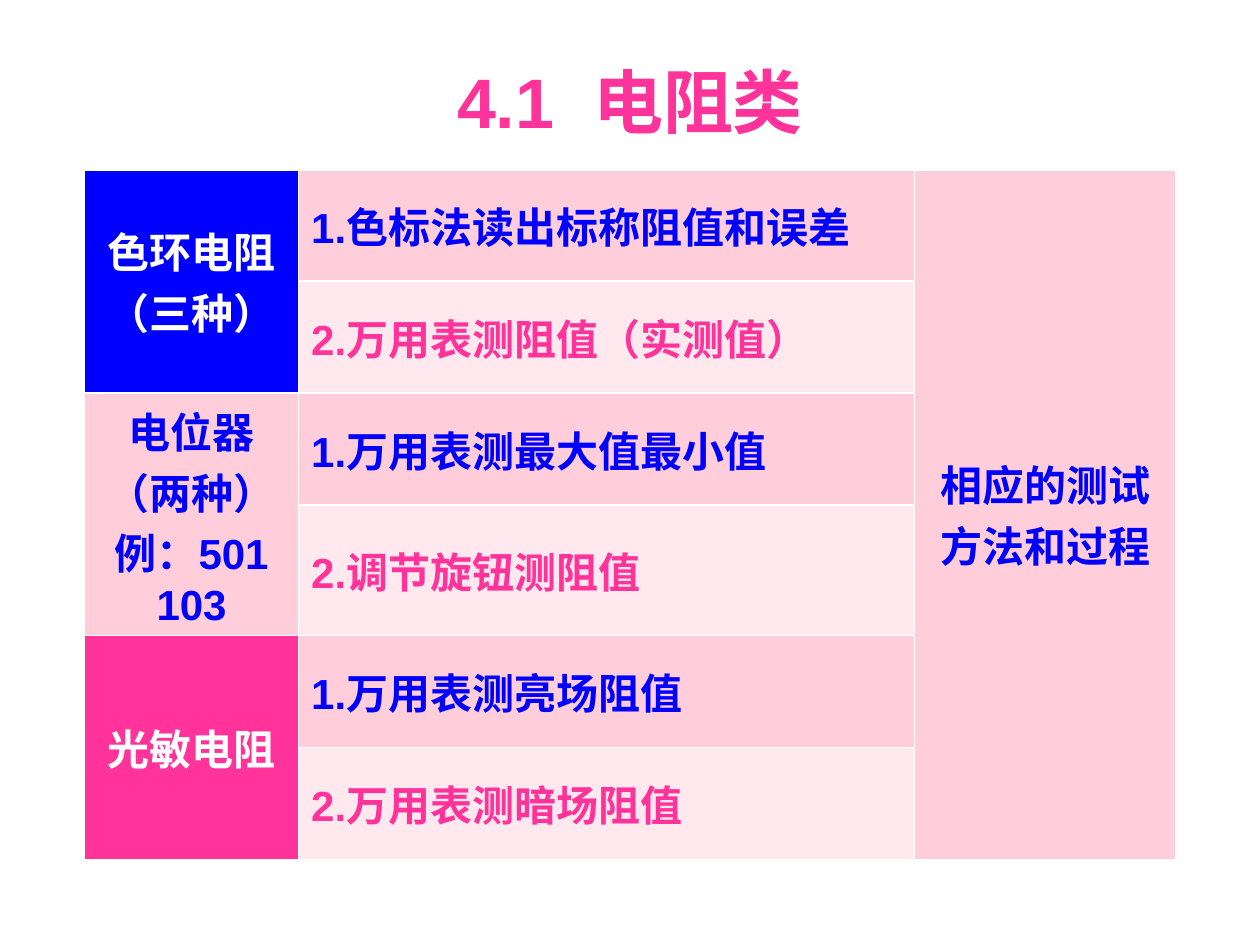
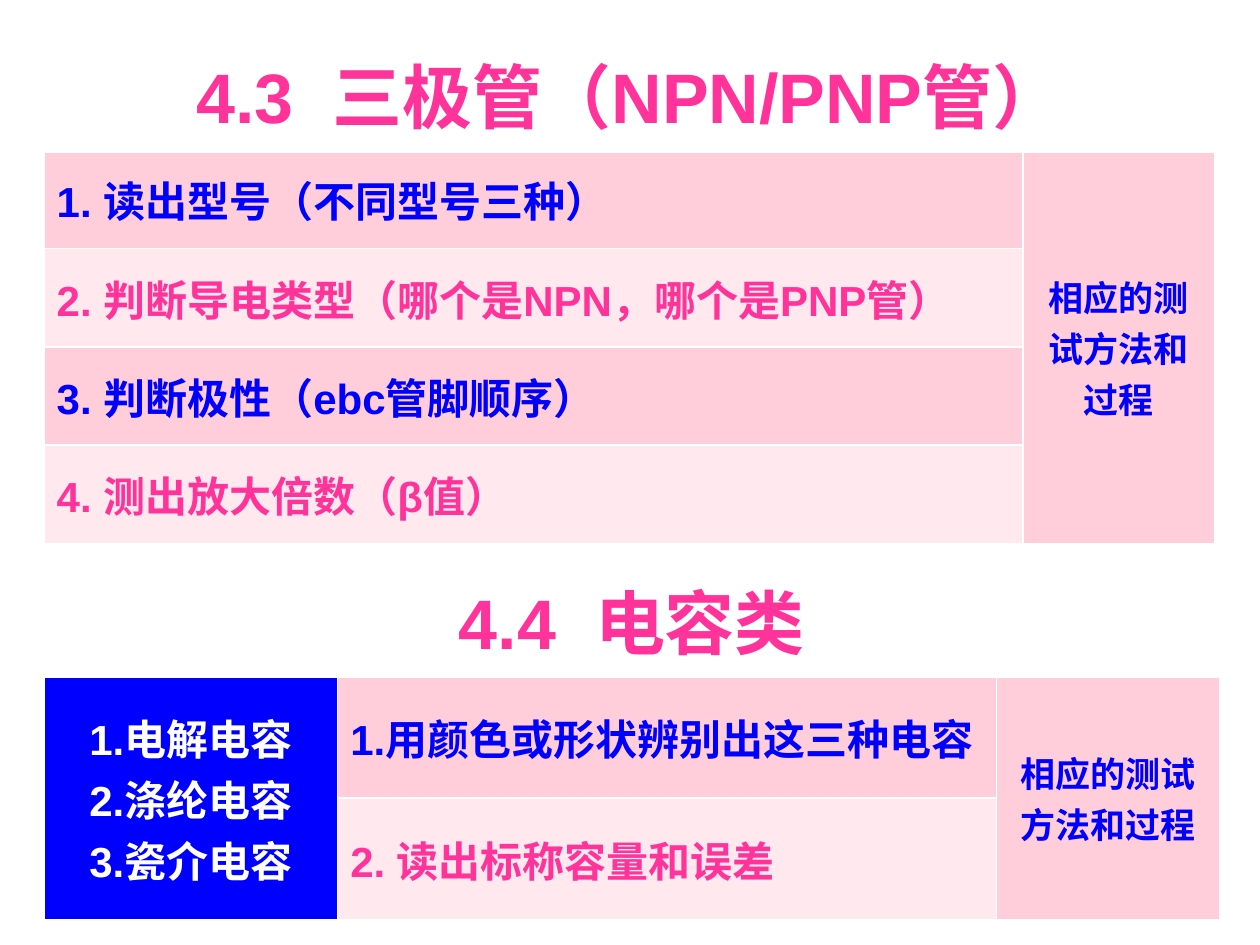
"""Build two slides of component test tables with shared title, item and group styles."""
from dataclasses import dataclass

from lxml import etree
from pptx import Presentation
from pptx.dml.color import RGBColor
from pptx.enum.text import MSO_ANCHOR, PP_ALIGN
from pptx.oxml.ns import qn
from pptx.slide import Slide
from pptx.table import Table, _Cell
from pptx.util import Inches, Pt

CENTER = PP_ALIGN.CENTER
LEFT = PP_ALIGN.LEFT
MIDDLE = MSO_ANCHOR.MIDDLE
BLANK_LAYOUT = 6
SUMMARY = "相应的测试方法和过程"


@dataclass(frozen=True)
class Theme:
    """Colours, font and sizes of the deck."""
    white: str = "FFFFFF"
    blue: str = "0000FF"
    pink: str = "FF3399"
    band_dark: str = "FFCEDA"
    band_light: str = "FFE8EE"
    font: str = "Arial"
    title_size: int = 40
    body_size: int = 24
    small_size: int = 20
    border: float = 1
    title_border: float = 3


THEME = Theme()


@dataclass(frozen=True)
class Look:
    """Colours, size and alignment of a cell."""
    color: str
    fill: str | None = None
    size: int = THEME.body_size
    align: PP_ALIGN = CENTER


TITLE = Look(THEME.pink, size=THEME.title_size)
ITEMS = (
    Look(THEME.blue, THEME.band_dark, align=LEFT),
    Look(THEME.pink, THEME.band_light, align=LEFT),
)
BLUE_GROUP = Look(THEME.white, THEME.blue)
PALE_GROUP = Look(THEME.blue, THEME.band_dark)
PINK_GROUP = Look(THEME.white, THEME.pink)
SMALL_SUMMARY = Look(THEME.blue, THEME.band_dark, THEME.small_size)


@dataclass(frozen=True)
class Group:
    """A label cell that spans two item rows."""
    lines: tuple[str, ...]
    look: Look


@dataclass(frozen=True)
class TestTable:
    """A titled list of test steps with optional groups and a summary column."""
    title: str
    left: float
    top: float
    columns: tuple[float, ...]
    title_height: float
    item_height: float
    items: tuple[str, ...]
    summary_look: Look
    groups: tuple[Group, ...] = ()


RESISTORS = TestTable(
    "4.1  电阻类", 0.67, 0.21, (1.7, 4.89, 2.07), 1.13, 0.89,
    (
        "1.色标法读出标称阻值和误差",
        "2.万用表测阻值（实测值）",
        "1.万用表测最大值最小值",
        "2.调节旋钮测阻值",
        "1.万用表测亮场阻值",
        "2.万用表测暗场阻值",
    ),
    PALE_GROUP,
    (
        Group(("色环电阻", "（三种）"), BLUE_GROUP),
        Group(("电位器（两种）", "例：501 103"), PALE_GROUP),
        Group(("光敏电阻",), PINK_GROUP),
    ),
)
TRANSISTORS = TestTable(
    "4.3  三极管（NPN/PNP管）", 0.35, 0.29, (7.77, 1.52), 0.73, 0.78,
    (
        "1. 读出型号（不同型号三种）",
        "2. 判断导电类型（哪个是NPN，哪个是PNP管）",
        "3. 判断极性（ebc管脚顺序）",
        "4. 测出放大倍数（β值）",
    ),
    SMALL_SUMMARY,
)
CAPACITORS = TestTable(
    "4.4  电容类", 0.35, 4.46, (2.33, 5.23, 1.77), 0.71, 0.97,
    ("1.用颜色或形状辨别出这三种电容", "2. 读出标称容量和误差"),
    SMALL_SUMMARY,
    (Group(("1.电解电容", "2.涤纶电容", "3.瓷介电容"), BLUE_GROUP),),
)
SLIDES = ((RESISTORS,), (TRANSISTORS, CAPACITORS))


def set_borders(cell: _Cell, row: int) -> None:
    """Draw white cell borders, thicker below the title row."""
    properties = cell._tc.get_or_add_tcPr()
    widths = {"lnL": THEME.border, "lnR": THEME.border,
              "lnT": THEME.title_border if row == 1 else THEME.border,
              "lnB": THEME.title_border if row == 0 else THEME.border}
    for tag, width in widths.items():
        line = etree.SubElement(properties, qn(f"a:{tag}"), w=str(Pt(width)))
        solid = etree.SubElement(line, qn("a:solidFill"))
        etree.SubElement(solid, qn("a:srgbClr"), val=THEME.white)


def fill_cell(cell: _Cell, lines: tuple[str, ...], look: Look) -> None:
    """Write lines into a cell with the given look."""
    cell.vertical_anchor = MIDDLE
    if look.fill:
        cell.fill.solid()
        cell.fill.fore_color.rgb = RGBColor.from_string(look.fill)
    frame = cell.text_frame
    for index, text in enumerate(lines):
        paragraph = frame.add_paragraph() if index else frame.paragraphs[0]
        paragraph.alignment = look.align
        run = paragraph.add_run()
        run.text = text
        run.font.name = THEME.font
        run.font.size = Pt(look.size)
        run.font.bold = True
        run.font.color.rgb = RGBColor.from_string(look.color)


def merge_cells(table: Table, first: tuple[int, int], last: tuple[int, int]) -> _Cell:
    """Merge a block of cells and return its first cell."""
    cell = table.cell(*first)
    cell.merge(table.cell(*last))
    return cell


def add_test_table(slide: Slide, content: TestTable) -> None:
    """Add one titled test table to the slide."""
    heights = [content.title_height] + [content.item_height] * len(content.items)
    shape = slide.shapes.add_table(
        len(heights), len(content.columns), Inches(content.left), Inches(content.top),
        Inches(sum(content.columns)), Inches(sum(heights)))
    table = shape.table
    table.first_row = False
    table.horz_banding = False
    for column, width in zip(table.columns, content.columns):
        column.width = Inches(width)
    for row_index, height in enumerate(heights):
        row = table.rows[row_index]
        row.height = Inches(height)
        for cell in row.cells:
            set_borders(cell, row_index)
            cell.fill.background()

    last_row, last_column = len(content.items), len(content.columns) - 1
    fill_cell(merge_cells(table, (0, 0), (0, last_column)), (content.title,), TITLE)
    for index, group in enumerate(content.groups):
        first_row = 1 + 2 * index
        fill_cell(merge_cells(table, (first_row, 0), (first_row + 1, 0)),
                  group.lines, group.look)
    for index, item in enumerate(content.items):
        fill_cell(table.cell(index + 1, last_column - 1), (item,), ITEMS[index % 2])
    fill_cell(merge_cells(table, (1, last_column), (last_row, last_column)),
              (SUMMARY,), content.summary_look)


def main() -> None:
    """Build and save the presentation."""
    presentation = Presentation()
    presentation.slide_width = Inches(10)
    presentation.slide_height = Inches(7.5)
    for tables in SLIDES:
        slide = presentation.slides.add_slide(presentation.slide_layouts[BLANK_LAYOUT])
        for content in tables:
            add_test_table(slide, content)
    presentation.save("out.pptx")


if __name__ == "__main__":
    main()
